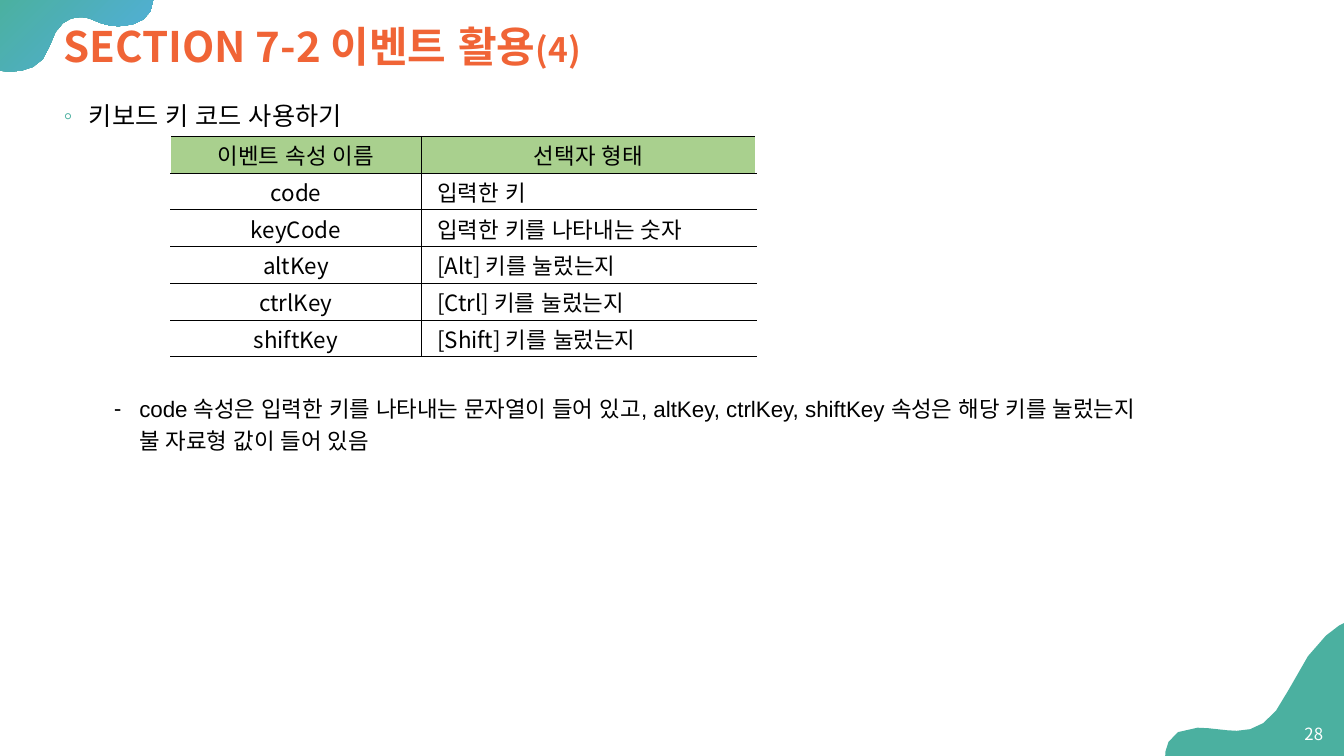
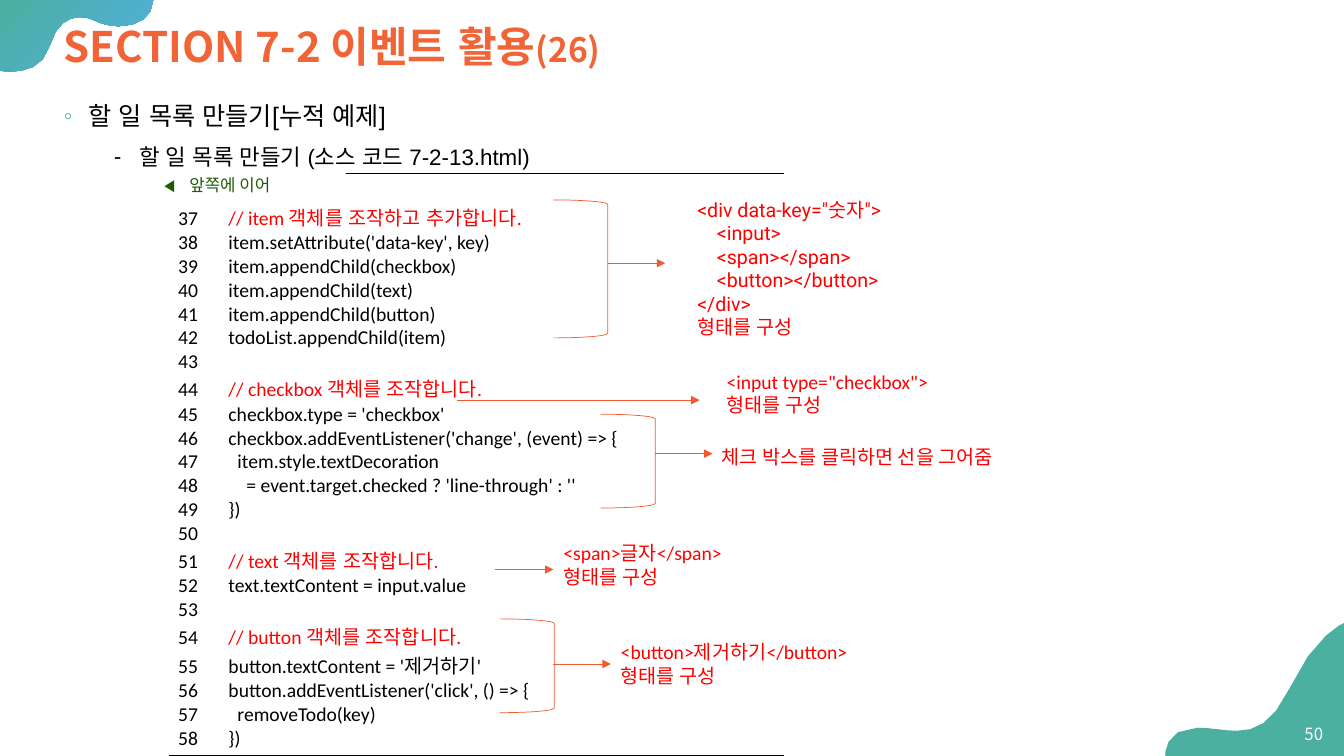
from dataclasses import dataclass
from typing import NamedTuple

import lxml.etree
import pptx
import pptx.dml.color
import pptx.enum.lang
import pptx.enum.shapes
import pptx.enum.text
import pptx.oxml.ns
import pptx.util

Pt = pptx.util.Pt
qn = pptx.oxml.ns.qn
Shapes = pptx.enum.shapes.MSO_SHAPE
Align = pptx.enum.text.PP_ALIGN
Anchor = pptx.enum.text.MSO_ANCHOR

BLACK, WHITE, RED = "000000", "FFFFFF", "FF0000"
TEAL, BLUE, ORANGE = "4BB0A0", "52AEE1", "F06436"
ARROW_ORANGE, HEADER_GREEN, DARK_GREEN = "F15A31", "A9D08E", "215A05"
KOREAN = "Noto Sans CJK KR"
CONTENT_LEFT, CONTENT_WIDTH = 38.4, 888.5
CURVE_STEPS = 4

TOP_WAVE = [
    [(0, 0)], [(0, 50.4)],
    [(0, 50.4), (2.9, 51.1), (7.9, 51.1)],
    [(17.3, 51.1), (31, 48.2), (35.3, 33.1)],
    [(40.3, 16.6), (49, 12.2), (56.9, 12.2)],
    [(60.5, 12.2), (64.1, 13), (67, 14.4)],
    [(72.7, 17.3), (79.2, 18.7), (85, 18.7)],
    [(98.6, 18.7), (109.4, 12.2), (109.4, 0)],
]
BOTTOM_WAVE = [
    [(960, 445), (938.9, 452.9), (920.2, 493.2)],
    [(908.6, 517), (896.4, 522), (883.4, 522)],
    [(874.8, 522), (865.4, 519.8), (855.4, 519.8)],
    [(830.9, 519.8), (832.3, 540), (832.3, 540)],
    [(960, 540)],
]
KEY_PROPERTIES = [
    ("이벤트 속성 이름", "선택자 형태"),
    ("code", "입력한 키"),
    ("keyCode", "입력한 키를 나타내는 숫자"),
    ("altKey", "[Alt] 키를 눌렀는지"),
    ("ctrlKey", "[Ctrl] 키를 눌렀는지"),
    ("shiftKey", "[Shift] 키를 눌렀는지"),
]
FIRST_CODE_LINE = 37
CODE = """// item 객체를 조작하고 추가합니다.
item.setAttribute('data-key', key)
item.appendChild(checkbox)
item.appendChild(text)
item.appendChild(button)
todoList.appendChild(item)

// checkbox 객체를 조작합니다.
checkbox.type = 'checkbox'
checkbox.addEventListener('change', (event) => {
  item.style.textDecoration
    = event.target.checked ? 'line-through' : ''
})

// text 객체를 조작합니다.
text.textContent = input.value

// button 객체를 조작합니다.
button.textContent = '제거하기'
button.addEventListener('click', () => {
  removeTodo(key)
})"""


class Area(NamedTuple):
    left: float
    top: float
    width: float
    height: float

    def lengths(self) -> list:
        return [Pt(value) for value in self]


@dataclass
class Style:
    size: float
    font: str = KOREAN
    color: str = BLACK
    bold: bool = False
    east_asian: str = ""


@dataclass
class Bullet:
    mark: str
    color: str
    margin: float
    size: float
    space_before: float


@dataclass
class Note:
    area: Area
    lines: list[str]
    arrow_from: tuple[float, float]
    arrow_end: float
    bracket: Area | None = None
    font: str = "Calibri"
    joined: bool = False


TOPIC = Bullet("◦", TEAL, 18, 18, 10)
DETAIL = Bullet("⁃", BLACK, 54, 16, 5)

NOTES = [
    Note(Area(491, 137.5, 182.9, 108.7),
         ['<div data-key="숫자">', "  <input>", "  <span></span>",
          "  <button></button>", "</div>", "형태를 구성"],
         (434.2, 188), 475.2, Area(395.3, 142.8, 38.9, 98.6), "Roboto"),
    Note(Area(511.9, 260.6, 182.9, 41), ['<input type="checkbox">\n형태를 구성'],
         (326.2, 285.8), 499.7),
    Note(Area(508.3, 314, 262.8, 24.5), ["체크 박스를 클릭하면 선을 그어줌"],
         (468, 324), 509, Area(429.1, 295.9, 38.9, 67)),
    Note(Area(395.3, 383, 262.8, 41), ["<span>글자</span>", "형태를 구성"],
         (353.5, 406.8), 395.3),
    Note(Area(436.3, 453.8, 262.8, 41), ["<button>제거하기</button>", "형태를 구성"],
         (395.3, 474.3), 436.3, Area(357, 442.1, 38.9, 67), joined=True),
]


def rgb(value: str) -> pptx.dml.color.RGBColor:
    return pptx.dml.color.RGBColor.from_string(value)


def child(parent, tag: str, **attributes: str):
    return lxml.etree.SubElement(parent, qn(tag), attributes)


def add_span(para, text: str, style: Style) -> None:
    """Add text in one style; a newline becomes a line break."""
    for index, line in enumerate(text.split("\n")):
        if index:
            para.add_line_break()
        span = para.add_run()
        span.text = line
        font = span.font
        font.size, font.name, font.bold = Pt(style.size), style.font, style.bold
        font.color.rgb = rgb(style.color)
        font.language_id = pptx.enum.lang.MSO_LANGUAGE_ID.KOREAN
        child(span._r.get_or_add_rPr(), "a:ea", typeface=style.east_asian or style.font)


def next_para(frame):
    """Return the untouched first paragraph, or a new one."""
    first = frame.paragraphs[0]
    return frame.add_paragraph() if first.runs else first


def add_tab(para, position: float) -> None:
    tabs = child(para._p.get_or_add_pPr(), "a:tabLst")
    child(tabs, "a:tab", pos=str(int(Pt(position))), algn="l")


def add_text_box(page, area: Area, anchor=Anchor.TOP):
    box = page.shapes.add_textbox(*area.lengths())
    box.text_frame.word_wrap = True
    box.text_frame.vertical_anchor = anchor
    return box


def add_bullet(frame, bullet: Bullet, text: str, extra_space: float = 0) -> None:
    para = next_para(frame)
    para.line_spacing = 1.2
    para.space_before = Pt(bullet.space_before + extra_space)
    properties = para._p.get_or_add_pPr()
    properties.set("marL", str(int(Pt(bullet.margin))))
    properties.set("indent", str(int(Pt(-18))))
    child(child(properties, "a:buClr"), "a:srgbClr", val=bullet.color)
    child(properties, "a:buFont", typeface="Arial")
    child(properties, "a:buChar", char=bullet.mark)
    add_span(para, text, Style(bullet.size, "Arial"))


def add_wave(page, start: tuple, segments: list):
    """Draw a closed outline; three points make a Bézier curve, one a line."""
    points, last = [], start
    for segment in segments:
        if len(segment) == 1:
            points += segment
        else:
            first, second, end = segment
            for step in range(1, CURVE_STEPS + 1):
                t = step / CURVE_STEPS
                u = 1 - t
                points.append(tuple(
                    u**3 * a + 3 * u * u * t * b + 3 * u * t * t * c + t**3 * d
                    for a, b, c, d in zip(last, first, second, end)))
        last = segment[-1]
    builder = page.shapes.build_freeform(Pt(start[0]), Pt(start[1]))
    builder.add_line_segments([(Pt(x), Pt(y)) for x, y in points], close=True)
    wave = builder.convert_to_shape()
    wave.shadow.inherit = False
    wave.line.fill.background()
    return wave


def add_page(deck, part: str, number: str):
    """Add a slide with the shared waves, title and page number."""
    page = deck.slides.add_slide(deck.slide_layouts[6])
    fill = add_wave(page, (109.4, 0), TOP_WAVE).fill
    fill.gradient()
    fill.gradient_angle = 315
    for stop, color in zip(fill.gradient_stops, (TEAL, BLUE)):
        stop.color.rgb = rgb(color)
    fill = add_wave(page, (960, 445), BOTTOM_WAVE).fill
    fill.solid()
    fill.fore_color.rgb = rgb(TEAL)

    title = add_text_box(page, Area(CONTENT_LEFT, 8.6, CONTENT_WIDTH, 52.6), Anchor.MIDDLE)
    para = title.text_frame.paragraphs[0]
    para.line_spacing = 0.9
    add_span(para, "SECTION 7-2 이벤트 활용", Style(30, color=ORANGE, bold=True))
    add_span(para, part, Style(24, color=ORANGE, bold=True))

    footer = add_text_box(page, Area(920.5, 509.8, 31.7, 28.8), Anchor.MIDDLE)
    para = footer.text_frame.paragraphs[0]
    para.alignment = Align.RIGHT
    add_span(para, number, Style(12, color=WHITE))
    return page


def add_body(page):
    return add_text_box(page, Area(CONTENT_LEFT, 64.1, CONTENT_WIDTH, 394)).text_frame


def add_plain_table(page, rows: int, widths: list[float], left: float, top: float, row_height: float):
    area = Area(left, top, sum(widths), rows * row_height)
    table = page.shapes.add_table(rows, len(widths), *area.lengths()).table
    table.first_row = table.horz_banding = False
    for column, width in zip(table.columns, widths):
        column.width = Pt(width)
    for cell in table.iter_cells():
        cell.fill.background()
    return table


def set_borders(cell, sides: str, width: float) -> None:
    """Draw black borders on the given sides, listed in the order L, R, T, B."""
    properties = cell._tc.get_or_add_tcPr()
    for index, side in enumerate(sides):
        line = child(properties, f"a:ln{side}", w=str(int(Pt(width))))
        child(child(line, "a:solidFill"), "a:srgbClr", val=BLACK)
        properties.insert(index, line)


def add_key_table(page) -> None:
    table = add_plain_table(page, len(KEY_PROPERTIES), [178.8, 239.2], 122, 97.2, 26.25)
    for row, texts in enumerate(KEY_PROPERTIES):
        for column, text in enumerate(texts):
            cell = table.cell(row, column)
            described = row > 0 and column == 1
            cell.margin_left = Pt(11.5 if described else 0.7)
            cell.margin_right = cell.margin_top = Pt(0.7)
            cell.margin_bottom = Pt(0)
            cell.vertical_anchor = Anchor.MIDDLE
            if row == 0:
                cell.fill.solid()
                cell.fill.fore_color.rgb = rgb(HEADER_GREEN)
            set_borders(cell, "LTB" if column else "RTB", 0.5)
            para = cell.text_frame.paragraphs[0]
            para.alignment = Align.LEFT if described else Align.CENTER
            add_span(para, text, Style(16))


def add_code_table(page) -> None:
    cell = add_plain_table(page, 1, [440.6], 120, 123.8, 415.6).cell(0, 0)
    cell.margin_top = Pt(20.7)
    set_borders(cell, "TB", 1)
    plain = Style(14, "Calibri", east_asian=KOREAN)
    comment = Style(14, "Calibri", RED, east_asian=KOREAN)
    for number, line in enumerate(CODE.splitlines(), FIRST_CODE_LINE):
        code = line.lstrip()
        para = next_para(cell.text_frame)
        if code:
            add_tab(para, 36 + 3.2 * (len(line) - len(code)))
        if code.startswith("//"):
            add_span(para, f"{number}\t", plain)
            add_span(para, code, comment)
        else:
            add_span(para, f"{number}\t{code}" if code else str(number), plain)


def add_continued_label(page) -> None:
    label = page.shapes.add_shape(Shapes.RECTANGLE, *Area(110.2, 121, 136.8, 21.6).lengths())
    label.shadow.inherit = False
    label.fill.solid()
    label.fill.fore_color.rgb = rgb(WHITE)
    label.line.fill.background()
    label.text_frame.vertical_anchor = Anchor.TOP
    para = label.text_frame.paragraphs[0]
    para.alignment = Align.LEFT
    add_tab(para, 18)
    add_span(para, "◀\t앞쪽에 이어", Style(12, "Calibri", DARK_GREEN))


def add_note(page, note: Note) -> None:
    """Add a red remark with its arrow and, if it has one, its bracket."""
    box = add_text_box(page, note.area)
    for line in note.lines:
        para = next_para(box.text_frame)
        text = line.lstrip()
        if text != line:
            para._p.get_or_add_pPr().set("marL", str(int(Pt(14))))
        add_span(para, text, Style(14, note.font, RED))

    start_x, y = note.arrow_from
    arrow = page.shapes.add_connector(
        pptx.enum.shapes.MSO_CONNECTOR.STRAIGHT, Pt(start_x), Pt(y), Pt(note.arrow_end), Pt(y))
    if note.joined:
        arrow.end_connect(box, 1)
    outlines = [arrow.line]
    if note.bracket:
        bracket = page.shapes.add_shape(Shapes.RIGHT_BRACKET, *note.bracket.lengths())
        bracket.shadow.inherit = False
        bracket.fill.background()
        outlines.append(bracket.line)
    for outline in outlines:
        outline.width = Pt(0.5)
        outline.color.rgb = rgb(ARROW_ORANGE)
    child(arrow.line._get_or_add_ln(), "a:tailEnd", type="triangle")
    child(arrow._element.spPr, "a:effectLst")


def main() -> None:
    deck = pptx.Presentation()
    deck.slide_width, deck.slide_height = Pt(960), Pt(540)

    page = add_page(deck, "(4)", "28")
    body = add_body(page)
    add_bullet(body, TOPIC, "키보드 키 코드 사용하기")
    add_bullet(body, DETAIL, "code 속성은 입력한 키를 나타내는 문자열이 들어 있고, altKey, ctrlKey, shiftKey "
               "속성은 해당 키를 눌렀는지\n불 자료형 값이 들어 있음", extra_space=180)
    add_key_table(page)

    page = add_page(deck, "(26)", "50")
    body = add_body(page)
    add_bullet(body, TOPIC, "할 일 목록 만들기[누적 예제]")
    add_bullet(body, DETAIL, "할 일 목록 만들기 (소스 코드 7-2-13.html)")
    add_code_table(page)
    add_continued_label(page)
    for note in NOTES:
        add_note(page, note)

    deck.save("out.pptx")


if __name__ == "__main__":
    main()
